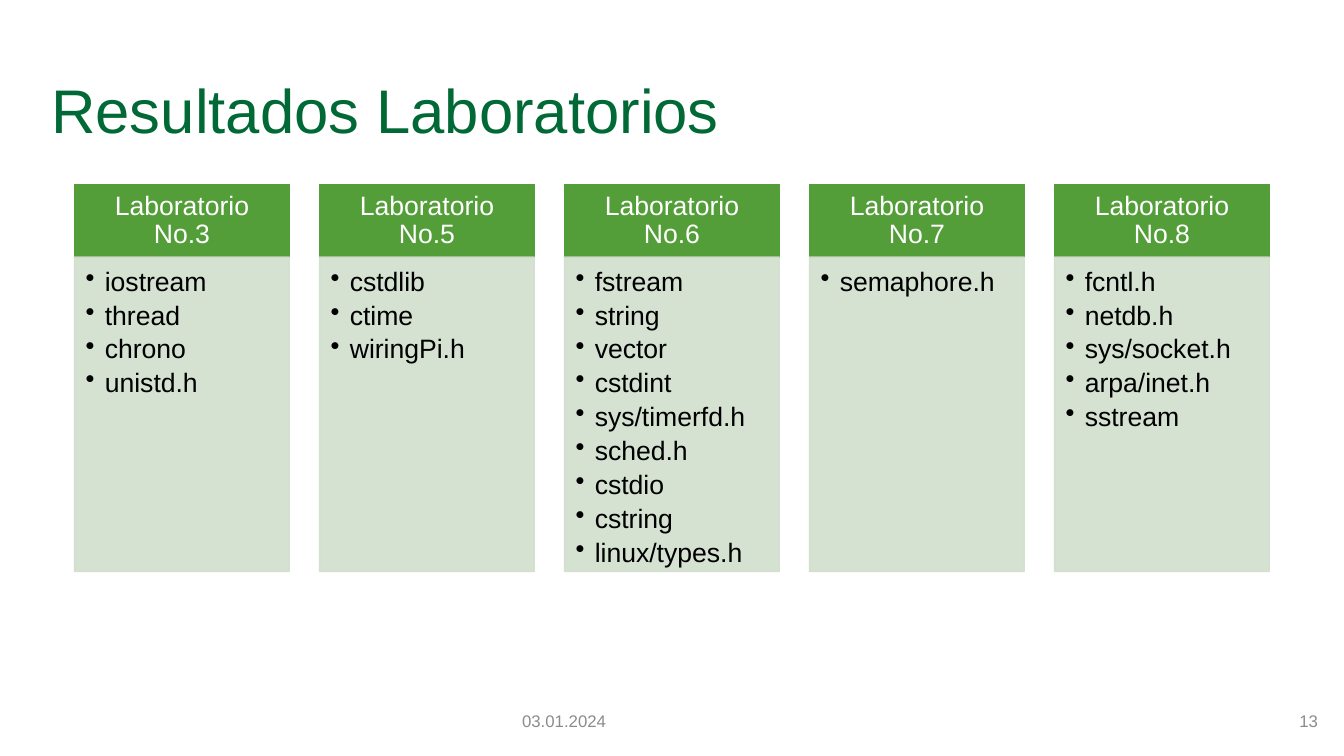
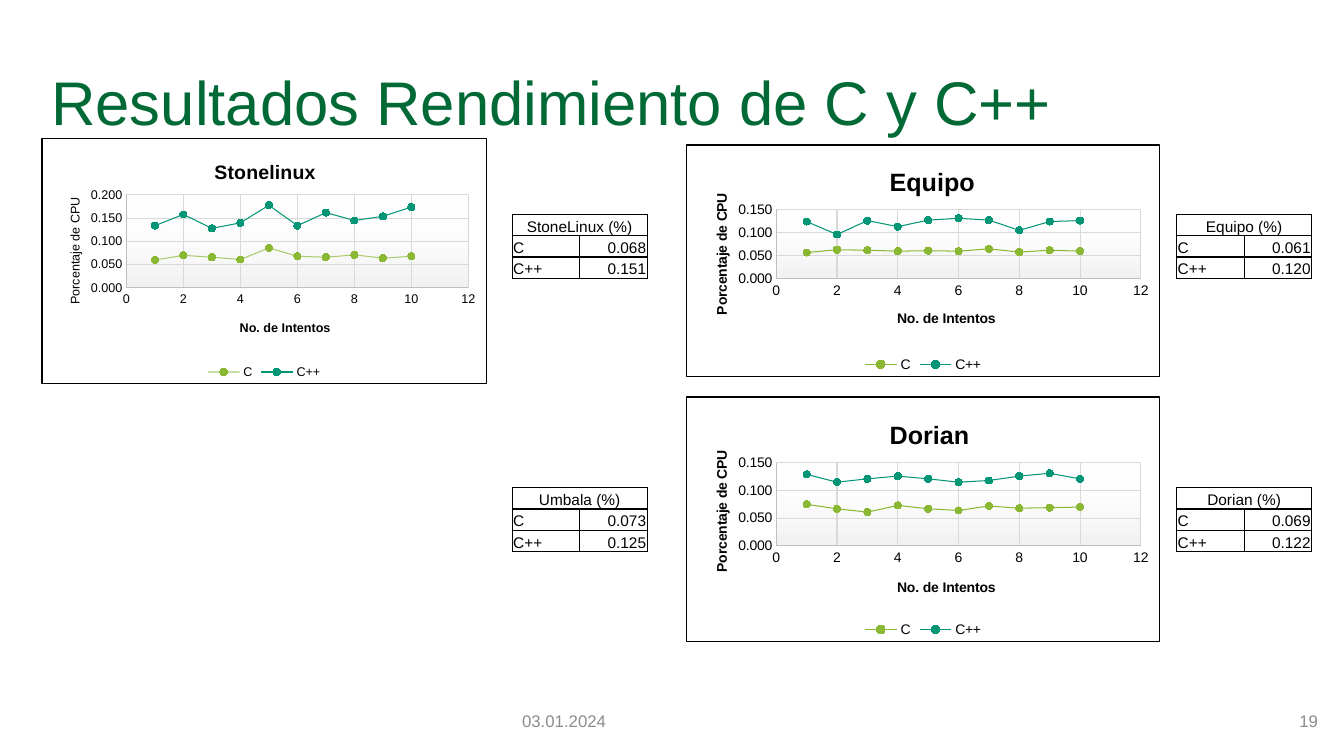
from dataclasses import dataclass

from lxml.etree import SubElement
from pptx import Presentation
from pptx.chart.data import XyChartData
from pptx.dml.color import RGBColor
from pptx.enum.chart import XL_CHART_TYPE, XL_LEGEND_POSITION, XL_MARKER_STYLE, XL_TICK_MARK
from pptx.enum.shapes import MSO_SHAPE
from pptx.enum.text import MSO_ANCHOR, PP_ALIGN
from pptx.oxml import parse_xml
from pptx.oxml.ns import nsdecls, qn
from pptx.util import Emu, Pt

PX = 9144  # 100 px to the inch


@dataclass(frozen=True)
class Theme:
    font: str = "Arial"
    title: str = "006936"
    footer: str = "8C8C8C"
    header: str = "549E39"
    body: str = "D1DFCE"
    text: str = "000000"
    white: str = "FFFFFF"
    plot_end: str = "F2F2F2"
    grid: str = "D9D9D9"
    axis: str = "BFBFBF"
    series: tuple = ("8AB833", "029676")
    title_size: int = 44
    list_size: int = 19
    footer_size: int = 12
    table_size: int = 11


THEME = Theme()
DATE = "03.01.2024"

LABS = {
    "Laboratorio No.3": ["iostream", "thread", "chrono", "unistd.h"],
    "Laboratorio No.5": ["cstdlib", "ctime", "wiringPi.h"],
    "Laboratorio No.6": ["fstream", "string", "vector", "cstdint", "sys/timerfd.h",
                         "sched.h", "cstdio", "cstring", "linux/types.h"],
    "Laboratorio No.7": ["semaphore.h"],
    "Laboratorio No.8": ["fcntl.h", "netdb.h", "sys/socket.h", "arpa/inet.h", "sstream"],
}


@dataclass(frozen=True)
class CpuChart:
    """Box in px; plot, title_x and side_title are fractions of the chart."""
    name: str
    box: tuple
    plot: tuple
    title_x: float
    side_title: tuple
    top: float
    c: list
    cpp: list
    title_size: int = 18
    size: int = 10
    side_bold: bool = True
    c_alpha: int = 100


CHARTS = [
    CpuChart("Equipo", (680, 143, 471, 231), (0.19, 0.28, 0.77, 0.3), 0.42, (0.05, 0.2), 0.15,
             [0.057, 0.063, 0.062, 0.06, 0.061, 0.06, 0.065, 0.058, 0.062, 0.06],
             [0.124, 0.096, 0.126, 0.113, 0.127, 0.131, 0.127, 0.105, 0.124, 0.126]),
    CpuChart("Dorian", (680, 393, 471, 244), (0.19, 0.27, 0.77, 0.34), 0.42, (0.05, 0.21), 0.15,
             [0.075, 0.067, 0.061, 0.073, 0.067, 0.064, 0.072, 0.068, 0.069, 0.07],
             [0.129, 0.115, 0.121, 0.126, 0.121, 0.115, 0.118, 0.126, 0.131, 0.121]),
    CpuChart("Stonelinux", (41, 137, 442, 244), (0.19, 0.23, 0.77, 0.38), 0.38, (0.05, 0.23), 0.2,
             [0.06, 0.07, 0.066, 0.061, 0.086, 0.068, 0.066, 0.071, 0.064, 0.068],
             [0.134, 0.158, 0.128, 0.14, 0.178, 0.134, 0.162, 0.145, 0.154, 0.174],
             title_size=14, size=9, side_bold=False, c_alpha=70),
]

TABLE_LEFTS = (508, 1167)
TABLE_TOPS = (213, 484)
AVERAGES = [  # one row of tables per line: name, C, C++
    [("StoneLinux", "0.068", "0.151"), ("Equipo", "0.061", "0.120")],
    [("Umbala", "0.073", "0.125"), ("Dorian", "0.069", "0.122")],
]


def px(*values):
    return [Emu(round(v * PX)) for v in values]


def rgb(value):
    return RGBColor.from_string(value)


def write(tf, *lines, size, color=THEME.text, bold=False, align=None, anchor=None,
          insets=None, spacing=None, after=None, bullet=None):
    """Write one paragraph per line; insets are px: left, top, right, bottom."""
    if anchor is not None:
        tf.vertical_anchor = anchor
    if insets:
        tf.margin_left, tf.margin_top, tf.margin_right, tf.margin_bottom = px(*insets)
    for i, line in enumerate(lines):
        p = tf.add_paragraph() if i else tf.paragraphs[0]
        if align is not None:
            p.alignment = align
        if spacing:
            p.line_spacing = spacing
        if after:
            p.space_after = Pt(after)
        if bullet:
            pPr = p._p.get_or_add_pPr()
            pPr.set("marL", str(19 * PX))
            pPr.set("indent", str(-19 * PX))
            SubElement(pPr, qn("a:buChar")).set("char", bullet)
        r = p.add_run()
        r.text = line
        style(r.font, size, color, bold)


def style(font, size, color=THEME.text, bold=False):
    font.name, font.size, font.bold = THEME.font, Pt(size), bold
    font.color.rgb = rgb(color)


def set_alpha(element, percent):
    for color in element.iter(qn("a:srgbClr")):
        SubElement(color, qn("a:alpha")).set("val", str(percent * 1000))


def add_text(slide, box, text, **fmt):
    tf = slide.shapes.add_textbox(*px(*box)).text_frame
    tf.word_wrap = True
    write(tf, text, anchor=MSO_ANCHOR.MIDDLE, **fmt)


def add_slide(prs, title, number, title_top):
    slide = prs.slides.add_slide(prs.slide_layouts[6])
    add_text(slide, (41, title_top, 1252, 145), title,
             size=THEME.title_size, color=THEME.title, spacing=0.9)
    footer = dict(size=THEME.footer_size, color=THEME.footer)
    add_text(slide, (508, 695, 300, 40), DATE, **footer)
    add_text(slide, (1017, 695, 300, 40), number, align=PP_ALIGN.RIGHT, **footer)
    return slide


def add_box(slide, box, color):
    sp = slide.shapes.add_shape(MSO_SHAPE.RECTANGLE, *px(*box))
    sp.shadow.inherit = False
    sp.fill.solid()
    sp.fill.fore_color.rgb = sp.line.color.rgb = rgb(color)
    sp.line.width = Pt(1)
    sp.text_frame.word_wrap = True
    return sp


def add_lab_column(slide, left, name, libraries):
    head = add_box(slide, (left, 183, 213, 72), THEME.header)
    write(head.text_frame, name, size=THEME.list_size, color=THEME.white, spacing=0.9,
          align=PP_ALIGN.CENTER, anchor=MSO_ANCHOR.MIDDLE, insets=(15, 8, 15, 8))
    body = add_box(slide, (left, 255, 213, 312), THEME.body)
    set_alpha(body._element.spPr, 90)
    write(body.text_frame, *libraries, size=THEME.list_size, spacing=0.9, after=3.7,
          align=PP_ALIGN.LEFT, anchor=MSO_ANCHOR.TOP, insets=(11, 11, 15, 17), bullet="•")


def manual_layout(x, y, w=None, h=None):
    tags = ['<c:layoutTarget val="inner"/>'] if w else []
    tags += ['<c:xMode val="edge"/>', '<c:yMode val="edge"/>']
    tags += [f'<c:{tag} val="{value:.2f}"/>'
             for tag, value in zip("xywh", (x, y, w, h)) if value is not None]
    return parse_xml(f'<c:layout {nsdecls("c")}><c:manualLayout>{"".join(tags)}'
                     '</c:manualLayout></c:layout>')


def drop_layout(element):
    for old in element.findall(qn("c:layout")):
        element.remove(old)


def place_title(title, x, y, text, **fmt):
    write(title.text_frame, text, **fmt)
    element = title._element
    drop_layout(element)
    element.find(qn("c:tx")).addnext(manual_layout(x, y))


def paint_chart(chart, plot):
    """Give the chart its frame, and the plot area its place and gradient."""
    chart_el = chart._chartSpace.find(qn("c:chart"))
    chart_el.addnext(parse_xml(
        f'<c:spPr {nsdecls("c", "a")}><a:solidFill><a:srgbClr val="{THEME.white}"/></a:solidFill>'
        f'<a:ln w="{Pt(1)}"><a:solidFill><a:srgbClr val="{THEME.text}"/></a:solidFill></a:ln>'
        '</c:spPr>'))
    area = chart_el.find(qn("c:plotArea"))
    drop_layout(area)
    area.insert(0, manual_layout(*plot))
    area.append(parse_xml(
        f'<c:spPr {nsdecls("c", "a")}><a:gradFill><a:gsLst>'
        f'<a:gs pos="0"><a:srgbClr val="{THEME.white}"><a:alpha val="0"/></a:srgbClr></a:gs>'
        f'<a:gs pos="100000"><a:srgbClr val="{THEME.plot_end}"/></a:gs>'
        '</a:gsLst><a:lin ang="5400000" scaled="0"/></a:gradFill></c:spPr>'))


def format_axis(axis, top, unit, number_format, size):
    axis.minimum_scale, axis.maximum_scale, axis.major_unit = 0, top, unit
    axis.major_tick_mark = axis.minor_tick_mark = XL_TICK_MARK.NONE
    axis.has_major_gridlines = True
    for line, color in ((axis.format.line, THEME.axis),
                        (axis.major_gridlines.format.line, THEME.grid)):
        line.color.rgb = rgb(color)
        line.width = Pt(0.75)
    labels = axis.tick_labels
    labels.number_format, labels.number_format_is_linked = number_format, False
    style(labels.font, size)


def format_series(series, color):
    series.format.line.color.rgb = rgb(color)
    series.format.line.width = Pt(0.75)
    marker = series.marker
    marker.style, marker.size = XL_MARKER_STYLE.CIRCLE, 5
    marker.format.fill.solid()
    marker.format.fill.fore_color.rgb = marker.format.line.color.rgb = rgb(color)


def add_cpu_chart(slide, spec):
    data = XyChartData()
    for name, values in (("C", spec.c), ("C++", spec.cpp)):
        points = data.add_series(name)
        for attempt, value in enumerate(values, 1):
            points.add_data_point(attempt, value)
    chart = slide.shapes.add_chart(XL_CHART_TYPE.XY_SCATTER_LINES, *px(*spec.box), data).chart
    style(chart.font, spec.size)
    chart.plots[0].vary_by_categories = False
    paint_chart(chart, spec.plot)

    chart.has_title = True
    place_title(chart.chart_title, spec.title_x, 0.07, spec.name, size=spec.title_size, bold=True)
    chart.has_legend = True
    chart.legend.position = XL_LEGEND_POSITION.BOTTOM
    chart.legend.include_in_layout = False
    style(chart.legend.font, spec.size)

    format_axis(chart.category_axis, 12, 2, "General", spec.size)
    format_axis(chart.value_axis, spec.top, 0.05, "0.000", spec.size)
    _, plot_top, _, plot_height = spec.plot
    place_title(chart.category_axis.axis_title, 0.44, plot_top + plot_height + 0.12,
                "No. de Intentos", size=spec.size, bold=True)
    side = chart.value_axis.axis_title
    place_title(side, *spec.side_title, "Porcentaje de CPU", size=spec.size, bold=spec.side_bold)
    body = side.text_frame._txBody.find(qn("a:bodyPr"))
    body.set("rot", "-5400000")
    body.set("vert", "horz")

    for series, color in zip(chart.plots[0].series, THEME.series):
        format_series(series, color)
    if spec.c_alpha < 100:
        set_alpha(chart.plots[0].series[0]._element.find(qn("c:spPr")), spec.c_alpha)


def format_cell(cell, text, align):
    cell.margin_left, cell.margin_top, cell.margin_right, cell.margin_bottom = px(1, 1, 1, 0)
    cell.vertical_anchor = MSO_ANCHOR.BOTTOM
    tcPr = cell._tc.get_or_add_tcPr()
    for side in "LRTB":
        tcPr.append(parse_xml(
            f'<a:ln{side} {nsdecls("a")} w="{Pt(1)}"><a:solidFill>'
            f'<a:srgbClr val="{THEME.text}"/></a:solidFill></a:ln{side}>'))
    cell.fill.background()
    if text:
        write(cell.text_frame, text, size=THEME.table_size, align=align)


def add_average_table(slide, left, top, name, c, cpp):
    table = slide.shapes.add_table(3, 2, *px(left, top, 134, 63)).table
    table.first_row = table.horz_banding = False
    for part in table.rows:
        part.height = px(21)[0]
    for part in table.columns:
        part.width = px(67)[0]
    table.cell(0, 0).merge(table.cell(0, 1))
    rows = [(f"{name} (%)", ""), ("C", c), ("C++", cpp)]
    for i, row in enumerate(rows):
        aligns = (PP_ALIGN.LEFT if i else PP_ALIGN.CENTER, PP_ALIGN.RIGHT)
        for j, text in enumerate(row):
            format_cell(table.cell(i, j), text, aligns[j])


def main():
    prs = Presentation()
    prs.slide_width, prs.slide_height = px(1333, 750)

    slide = add_slide(prs, "Resultados Laboratorios", "13", title_top=40)
    for i, (name, libraries) in enumerate(LABS.items()):
        add_lab_column(slide, 74 + 243 * i, name, libraries)

    slide = add_slide(prs, "Resultados Rendimiento de C y C++", "19", title_top=32)
    for spec in CHARTS:
        add_cpu_chart(slide, spec)
    for top, tables in zip(TABLE_TOPS, AVERAGES):
        for left, averages in zip(TABLE_LEFTS, tables):
            add_average_table(slide, left, top, *averages)

    prs.save("out.pptx")


if __name__ == "__main__":
    main()
